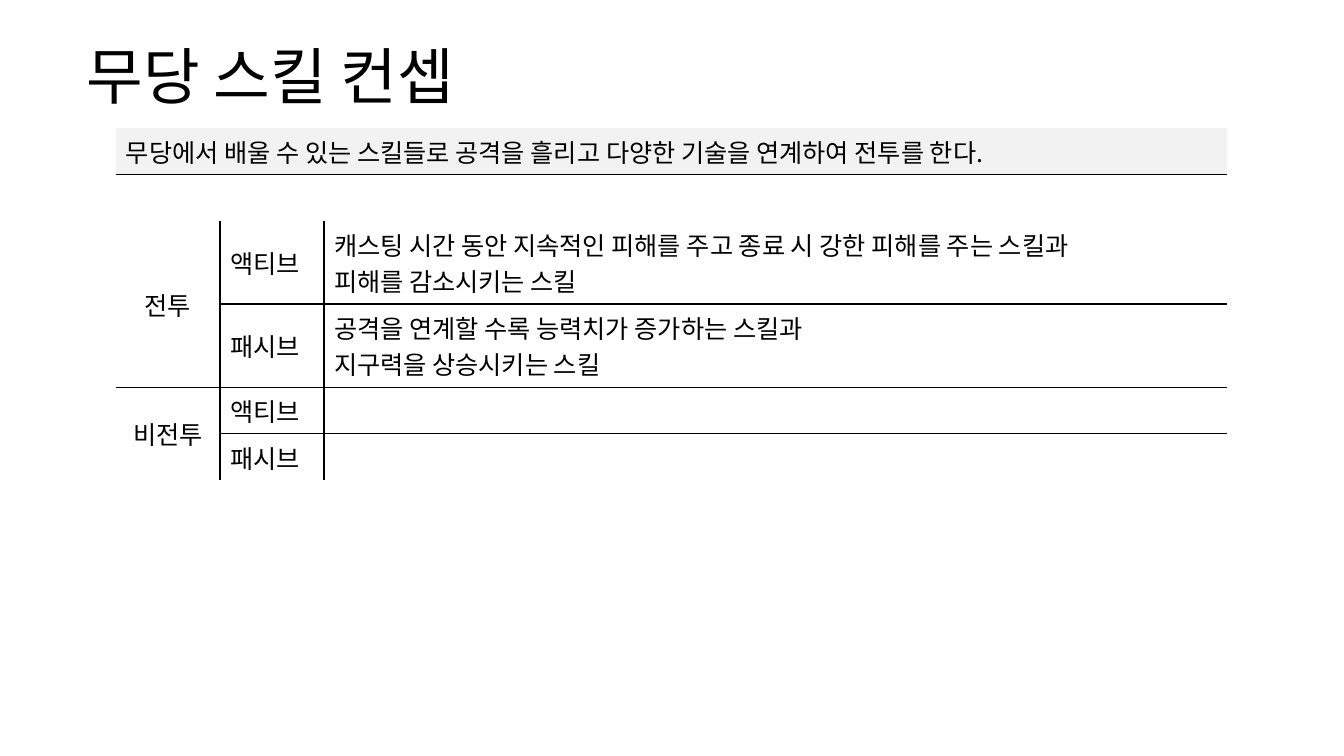
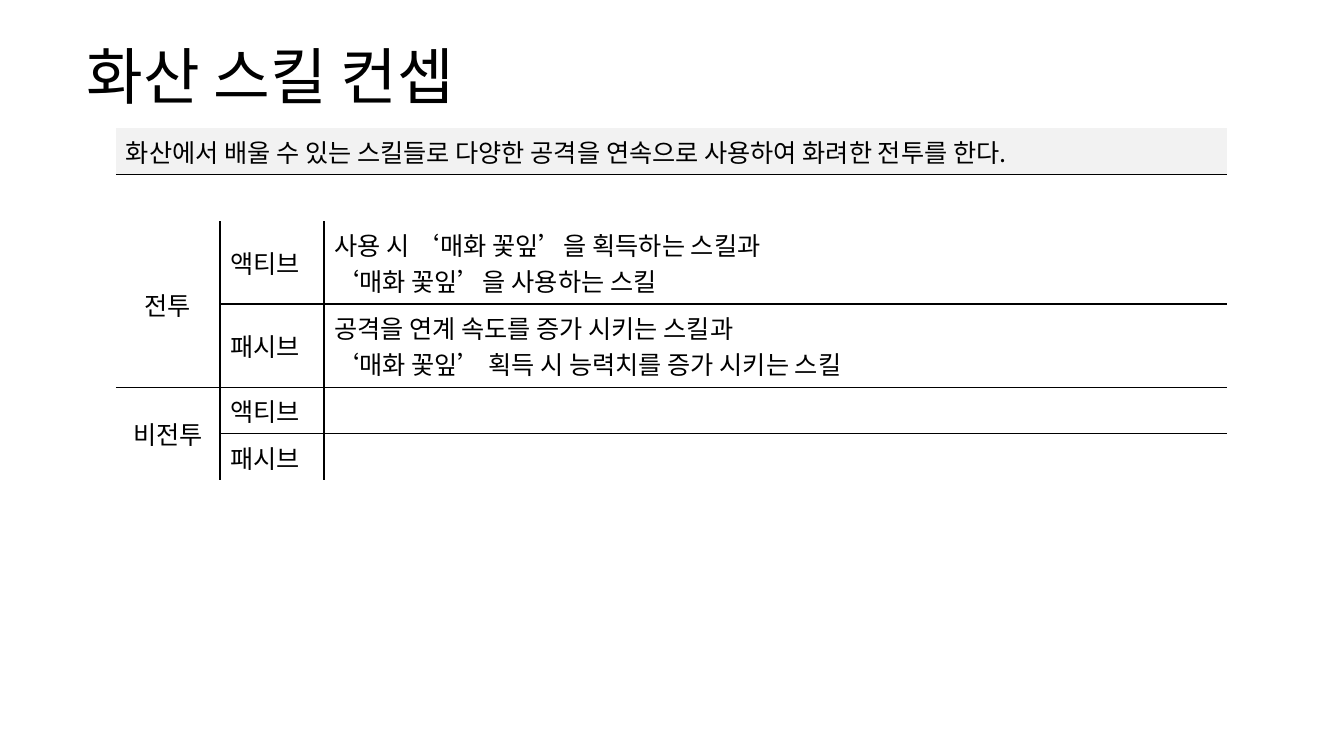
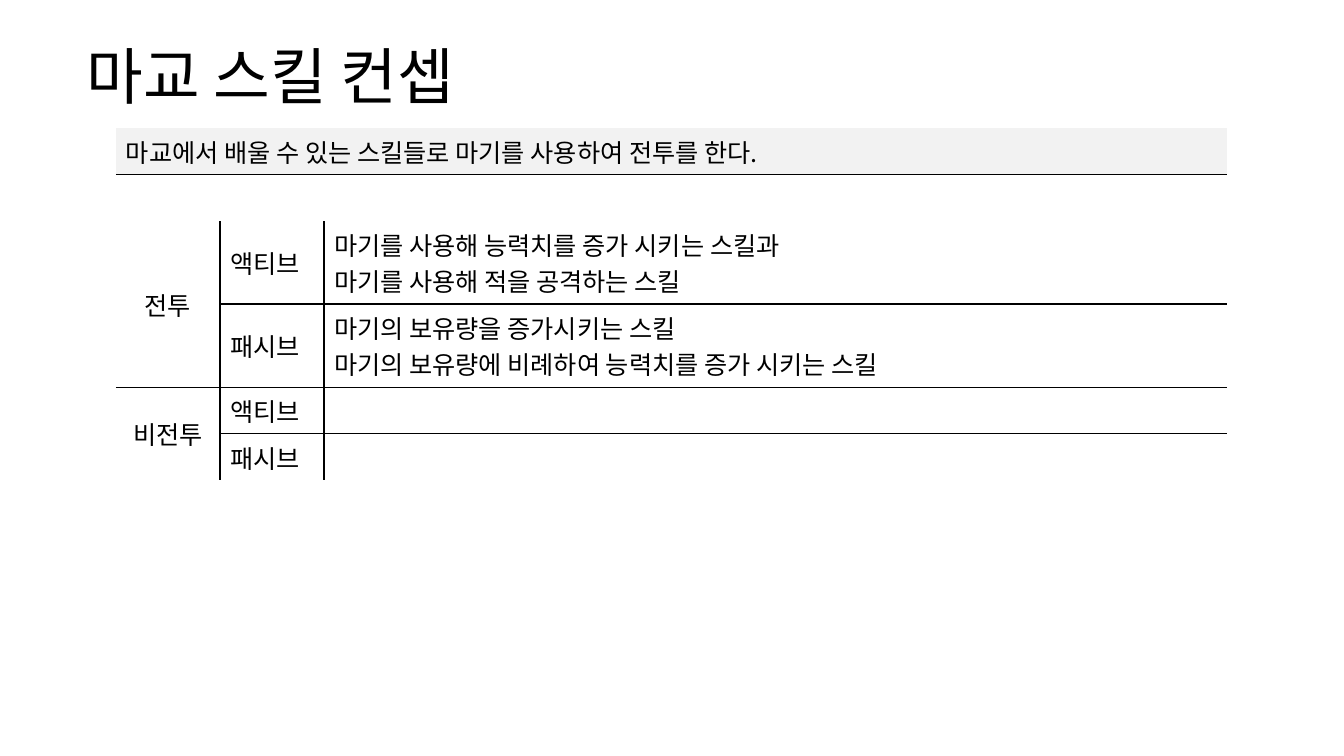
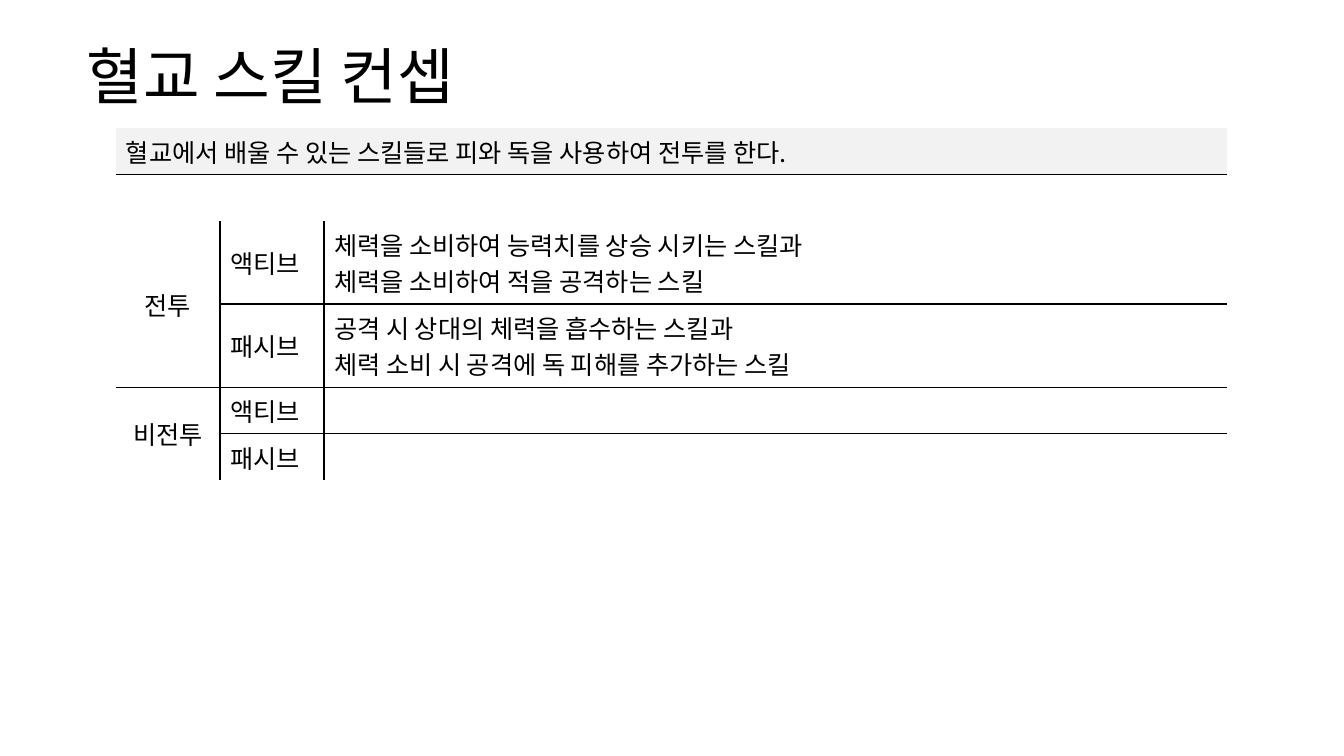
from dataclasses import dataclass

from lxml import etree
from pptx import Presentation
from pptx.dml.color import RGBColor
from pptx.enum.text import MSO_ANCHOR, MSO_AUTO_SIZE, PP_ALIGN
from pptx.oxml.ns import qn
from pptx.util import Pt

LEFT, CENTER = PP_ALIGN.LEFT, PP_ALIGN.CENTER
MIDDLE = MSO_ANCHOR.MIDDLE
NO_AUTOFIT = MSO_AUTO_SIZE.NONE
TITLE_ONLY = 5

# Content: school, summary, active combat skills, passive combat skills
SCHOOLS = [
    ("무당", "무당에서 배울 수 있는 스킬들로 공격을 흘리고 다양한 기술을 연계하여 전투를 한다.",
     ["캐스팅 시간 동안 지속적인 피해를 주고 종료 시 강한 피해를 주는 스킬과",
      "피해를 감소시키는 스킬"],
     ["공격을 연계할 수록 능력치가 증가하는 스킬과",
      "지구력을 상승시키는 스킬"]),
    ("화산", "화산에서 배울 수 있는 스킬들로 다양한 공격을 연속으로 사용하여 화려한 전투를 한다.",
     ["사용 시 ‘매화 꽃잎’을 획득하는 스킬과",
      "‘매화 꽃잎’을 사용하는 스킬"],
     ["공격을 연계 속도를 증가 시키는 스킬과",
      "‘매화 꽃잎’ 획득 시 능력치를 증가 시키는 스킬"]),
    ("마교", "마교에서 배울 수 있는 스킬들로 마기를 사용하여 전투를 한다.",
     ["마기를 사용해 능력치를 증가 시키는 스킬과",
      "마기를 사용해 적을 공격하는 스킬"],
     ["마기의 보유량을 증가시키는 스킬",
      "마기의 보유량에 비례하여 능력치를 증가 시키는 스킬"]),
    ("혈교", "혈교에서 배울 수 있는 스킬들로 피와 독을 사용하여 전투를 한다.",
     ["체력을 소비하여 능력치를 상승 시키는 스킬과",
      "체력을 소비하여 적을 공격하는 스킬"],
     ["공격 시 상대의 체력을 흡수하는 스킬과",
      "체력 소비 시 공격에 독 피해를 추가하는 스킬"]),
]

# Layout, in points
SLIDE_SIZE = (960, 540)
TITLE_BOX = (54.7, 23, 850.3, 67.7)
TABLE_AT = (82.8, 91.4)
COLS = [74.3, 74.3, 645.2]
ONE_LINE, TWO_LINES = 33.2, 59.2
ROWS = [ONE_LINE, ONE_LINE, TWO_LINES, TWO_LINES, ONE_LINE, ONE_LINE]

# Merged areas as (first cell, last cell)
MERGES = [((0, 0), (0, 2)), ((1, 0), (1, 2)), ((2, 0), (3, 0)), ((4, 0), (5, 0))]
# Rules above a row: the columns they cross
RULES_ABOVE = {1: (0, 1, 2), 3: (1, 2), 4: (0, 1, 2), 5: (1, 2)}
FIRST_SKILL_ROW = 2


@dataclass(frozen=True)
class Theme:
    font: str = "Noto Sans CJK KR"
    ink: str = "000000"
    band: str = "F2F2F2"
    title_size: float = 44
    body_size: float = 18
    rule: float = 1


THEME = Theme()


def write(tf, lines, size=THEME.body_size, align=LEFT, spacing=None):
    """Fill a text frame, one paragraph a line."""
    for i, line in enumerate(lines):
        p = tf.paragraphs[0] if i == 0 else tf.add_paragraph()
        p.alignment = align
        p.line_spacing = spacing
        r = p.add_run()
        r.text = line
        r.font.size = Pt(size)
        r.font.name = THEME.font
        r.font.color.rgb = RGBColor.from_string(THEME.ink)
        ea = etree.SubElement(r.font._element, qn("a:ea"))
        ea.set("typeface", THEME.font)


def set_borders(cell, edges):
    """Draw the named edges (L, R, T, B) and clear the others."""
    tcPr = cell._tc.get_or_add_tcPr()
    for i, edge in enumerate("LRTB"):
        ln = etree.Element(qn(f"a:ln{edge}"), w=str(Pt(THEME.rule)))
        if edge in edges:
            fill = etree.SubElement(ln, qn("a:solidFill"))
            etree.SubElement(fill, qn("a:srgbClr"), val=THEME.ink)
        else:
            etree.SubElement(ln, qn("a:noFill"))
        tcPr.insert(i, ln)


def cell_edges(row, col):
    edges = set()
    if col in RULES_ABOVE.get(row, ()):
        edges.add("T")
    if col in RULES_ABOVE.get(row + 1, ()):
        edges.add("B")
    if row >= FIRST_SKILL_ROW:
        if col > 0:
            edges.add("L")
        if col < len(COLS) - 1:
            edges.add("R")
    return edges


def add_title(s, text):
    sp = s.shapes.title
    sp.left, sp.top, sp.width, sp.height = map(Pt, TITLE_BOX)
    tf = sp.text_frame
    tf.word_wrap = True
    tf.auto_size = NO_AUTOFIT
    tf.vertical_anchor = MIDDLE
    write(tf, [text], size=THEME.title_size, spacing=0.9)


def add_skill_table(s, summary, active, passive):
    x, y = TABLE_AT
    frame = s.shapes.add_table(len(ROWS), len(COLS), Pt(x), Pt(y),
                               Pt(sum(COLS)), Pt(sum(ROWS)))
    table = frame.table
    table.first_row = table.horz_banding = False
    for column, width in zip(table.columns, COLS):
        column.width = Pt(width)
    for row, height in zip(table.rows, ROWS):
        row.height = Pt(height)

    # Fills and rules
    for r in range(len(ROWS)):
        for c in range(len(COLS)):
            cell = table.cell(r, c)
            cell.vertical_anchor = MIDDLE
            if r == 0:
                cell.fill.solid()
                cell.fill.fore_color.rgb = RGBColor.from_string(THEME.band)
            else:
                cell.fill.background()
            set_borders(cell, cell_edges(r, c))
    for first, last in MERGES:
        table.cell(*first).merge(table.cell(*last))

    # Text
    write(table.cell(0, 0).text_frame, [summary])
    for r, group in ((2, "전투"), (4, "비전투")):
        write(table.cell(r, 0).text_frame, [group], align=CENTER)
        for i, kind in enumerate(("액티브", "패시브")):
            write(table.cell(r + i, 1).text_frame, [kind])
    for i, skills in enumerate((active, passive)):
        write(table.cell(FIRST_SKILL_ROW + i, 2).text_frame, skills)


def main():
    prs = Presentation()
    prs.slide_width, prs.slide_height = map(Pt, SLIDE_SIZE)
    for school, summary, active, passive in SCHOOLS:
        s = prs.slides.add_slide(prs.slide_layouts[TITLE_ONLY])
        add_title(s, f"{school} 스킬 컨셉")
        add_skill_table(s, summary, active, passive)
    prs.save("out.pptx")


if __name__ == "__main__":
    main()
